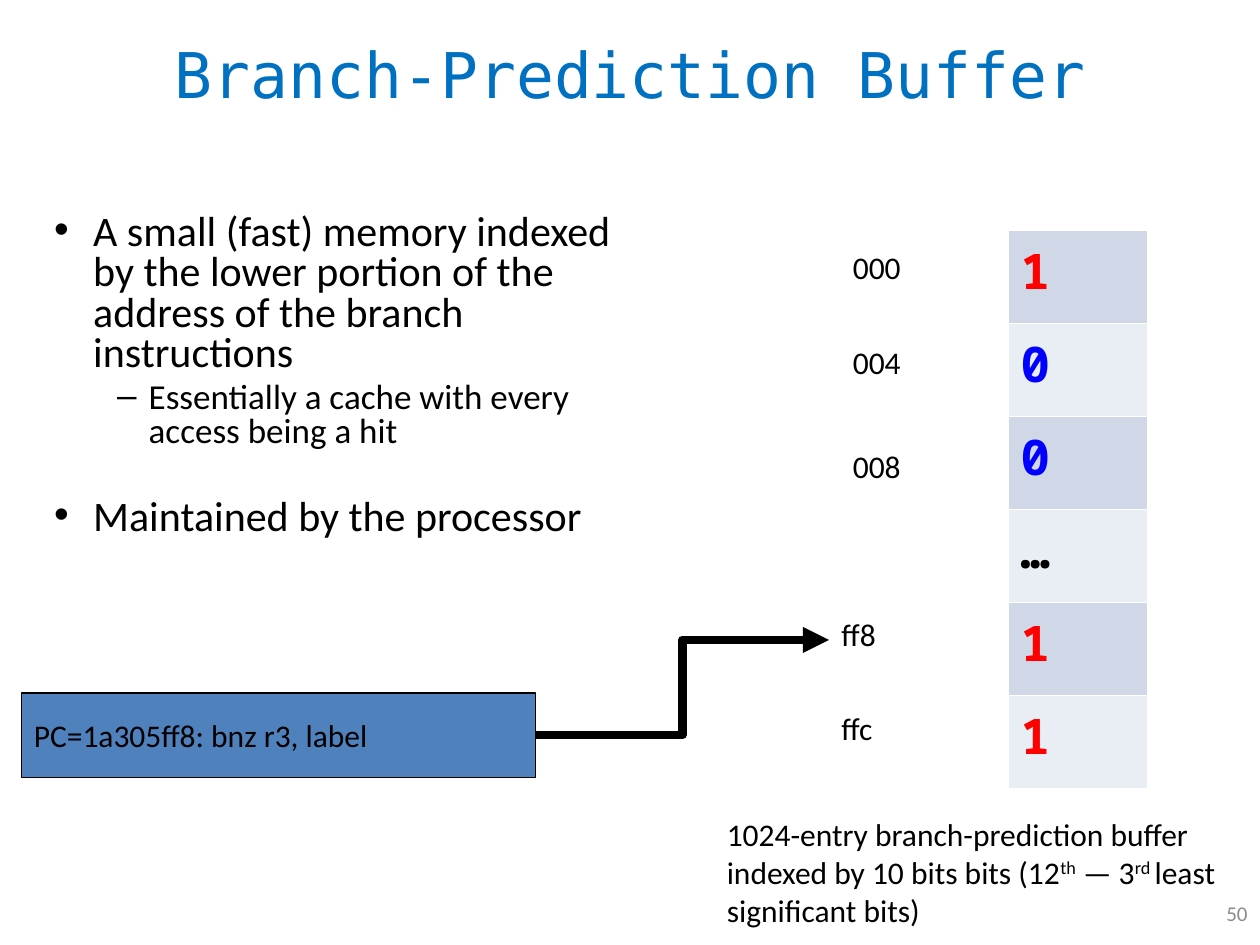
from lxml.etree import SubElement
from pptx import Presentation
from pptx.dml.color import RGBColor
from pptx.enum.shapes import MSO_CONNECTOR, MSO_SHAPE
from pptx.enum.text import MSO_ANCHOR, MSO_AUTO_SIZE, PP_ALIGN
from pptx.oxml.ns import qn
from pptx.util import Inches, Pt

COLORS = {
    "title": "0070C0", "text": "000000", "number": "8C8C8C",
    "taken": "FF0000", "not_taken": "0000FF", "box": "4F81BD",
    "band_dark": "D0D8E8", "band_light": "E9EDF4",
}
BODY_FONT = "Calibri"
TITLE_FONT = "DejaVu Sans Mono"
TABLE_FONT = "Noto Sans Mono"


def color(name):
    return RGBColor.from_string(COLORS[name])


def set_font(font, size, name=BODY_FONT, color_name="text", bold=False):
    font.size = Pt(size)
    font.name = name
    font.bold = bold
    font.color.rgb = color(color_name)


def place(shape, box):
    shape.left, shape.top, shape.width, shape.height = map(Inches, box)


def add_text(slide, box, runs, size=18, color_name="text"):
    shape = slide.shapes.add_textbox(*map(Inches, box))
    shape.text_frame.word_wrap = True
    paragraph = shape.text_frame.paragraphs[0]
    set_font(paragraph.font, size, color_name=color_name)
    for text, raised in runs:
        run = paragraph.add_run()
        run.text = text
        if raised:
            run.font._element.set("baseline", "30000")
    return shape


def add_title(slide, box):
    title = slide.shapes.title
    place(title, box)
    frame = title.text_frame
    frame.text = "Branch-Prediction Buffer"
    frame.vertical_anchor = MSO_ANCHOR.MIDDLE
    frame.auto_size = MSO_AUTO_SIZE.NONE
    frame.paragraphs[0].alignment = PP_ALIGN.CENTER
    set_font(frame.paragraphs[0].font, 36, TITLE_FONT, "title")


def add_body(slide, box):
    items = [
        ("A small (fast) memory indexed by the lower portion of the address "
         "of the branch instructions", 0, 0),
        ("Essentially a cache with every access being a hit", 1, 4),
        ("Maintained by the processor", 0, 28),
    ]
    levels = [(24, 0.31, 0.31), (20, 0.75, 0.25)]
    body = slide.placeholders[1]
    place(body, box)
    frame = body.text_frame
    frame.auto_size = MSO_AUTO_SIZE.NONE
    frame.margin_top = Inches(0.45)
    for index, (text, level, space) in enumerate(items):
        paragraph = frame.add_paragraph() if index else frame.paragraphs[0]
        paragraph.text = text
        paragraph.level = level
        paragraph.line_spacing = 0.8
        paragraph.space_before = Pt(space)
        size, margin, hanging = levels[level]
        set_font(paragraph.font, size)
        properties = paragraph._p.get_or_add_pPr()
        properties.set("marL", str(Inches(margin)))
        properties.set("indent", str(-Inches(hanging)))


def add_buffer_table(slide, box):
    entries = [("1", "taken"), ("0", "not_taken"), ("0", "not_taken"),
               ("…", "text"), ("1", "taken"), ("1", "taken")]
    frame = slide.shapes.add_table(len(entries), 2, *map(Inches, box))
    table = frame.table
    table.first_row = False
    table.columns[0].width = Inches(1.11)
    table.columns[1].width = Inches(box[2] - 1.11)
    for row, (text, color_name) in enumerate(entries):
        cell = table.cell(row, 0)
        cell.text = text
        cell.fill.solid()
        cell.fill.fore_color.rgb = color("band_light" if row % 2 else "band_dark")
        set_font(cell.text_frame.paragraphs[0].font, 28, TABLE_FONT, color_name, True)
        table.cell(row, 1).fill.background()
    table.cell(0, 1).merge(table.cell(len(entries) - 1, 1))


def add_address_labels(slide, right):
    labels = [("000", 1.92, 1.08), ("004", 2.67, 1.08), ("008", 3.5, 1.08),
              ("ff8", 4.83, 1.17), ("ffc", 5.58, 1.17)]
    return {text: add_text(slide, (right - width, top, width, 0.5), [(text, False)])
            for text, top, width in labels}


def add_instruction(slide, box):
    shape = slide.shapes.add_shape(MSO_SHAPE.RECTANGLE, *map(Inches, box))
    shape.shadow.inherit = False
    shape.fill.solid()
    shape.fill.fore_color.rgb = color("box")
    shape.line.color.rgb = color("text")
    shape.line.width = Pt(0.75)
    frame = shape.text_frame
    frame.text = "PC=1a305ff8: bnz r3, label"
    frame.vertical_anchor = MSO_ANCHOR.MIDDLE
    frame.paragraphs[0].alignment = PP_ALIGN.LEFT
    set_font(frame.paragraphs[0].font, 18)
    return shape


def add_lookup_arrow(slide, instruction, label):
    arrow = slide.shapes.add_connector(MSO_CONNECTOR.ELBOW, 0, 0, 0, 0)
    arrow.begin_connect(instruction, 3)
    arrow.end_connect(label, 1)
    arrow.line.color.rgb = color("text")
    arrow.line.width = Pt(5)
    SubElement(arrow.line._get_or_add_ln(), qn("a:tailEnd"), type="triangle")
    SubElement(arrow._element.spPr, qn("a:effectLst"))


def add_slide_number(slide, box):
    number = add_text(slide, box, [("50", False)], 12, "number")
    number.text_frame.vertical_anchor = MSO_ANCHOR.MIDDLE
    number.text_frame.paragraphs[0].alignment = PP_ALIGN.RIGHT


def main():
    presentation = Presentation()
    presentation.slide_width = Inches(10)
    presentation.slide_height = Inches(7.5)
    slide = presentation.slides.add_slide(presentation.slide_layouts[1])
    add_slide_number(slide, (7.92, 7, 2.08, 0.5))
    add_title(slide, (0.75, 0.25, 8.5, 0.67))
    add_body(slide, (0.33, 1.25, 5, 3.83))
    add_buffer_table(slide, (8, 1.83, 1.34, 4.43))
    labels = add_address_labels(slide, 7.75)
    add_text(slide, (5.67, 6.42, 4.17, 1), [
        ("1024-entry branch-prediction buffer indexed by 10 bits bits (12", False),
        ("th", True), (" — 3", False), ("rd ", True),
        ("least significant bits)", False),
    ])
    instruction = add_instruction(slide, (0.17, 5.5, 4.08, 0.67))
    add_lookup_arrow(slide, instruction, labels["ff8"])
    presentation.save("out.pptx")


if __name__ == "__main__":
    main()
